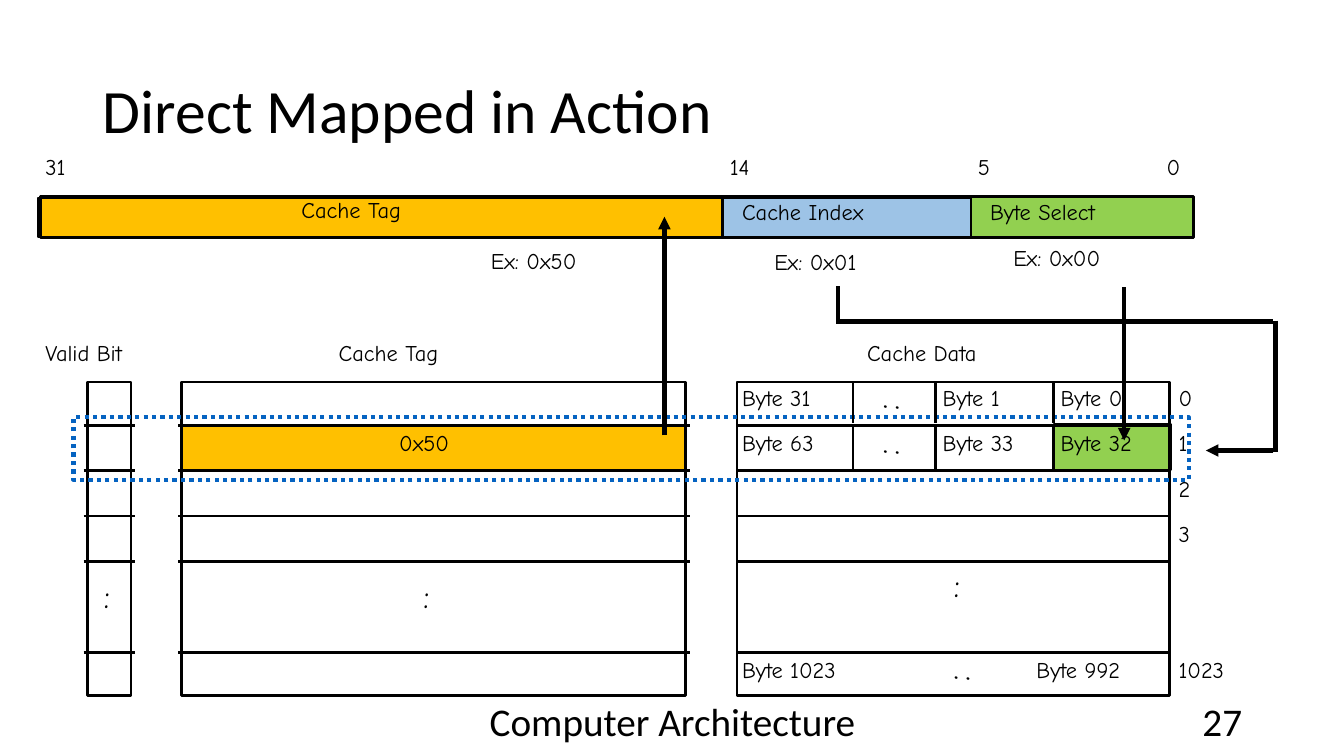
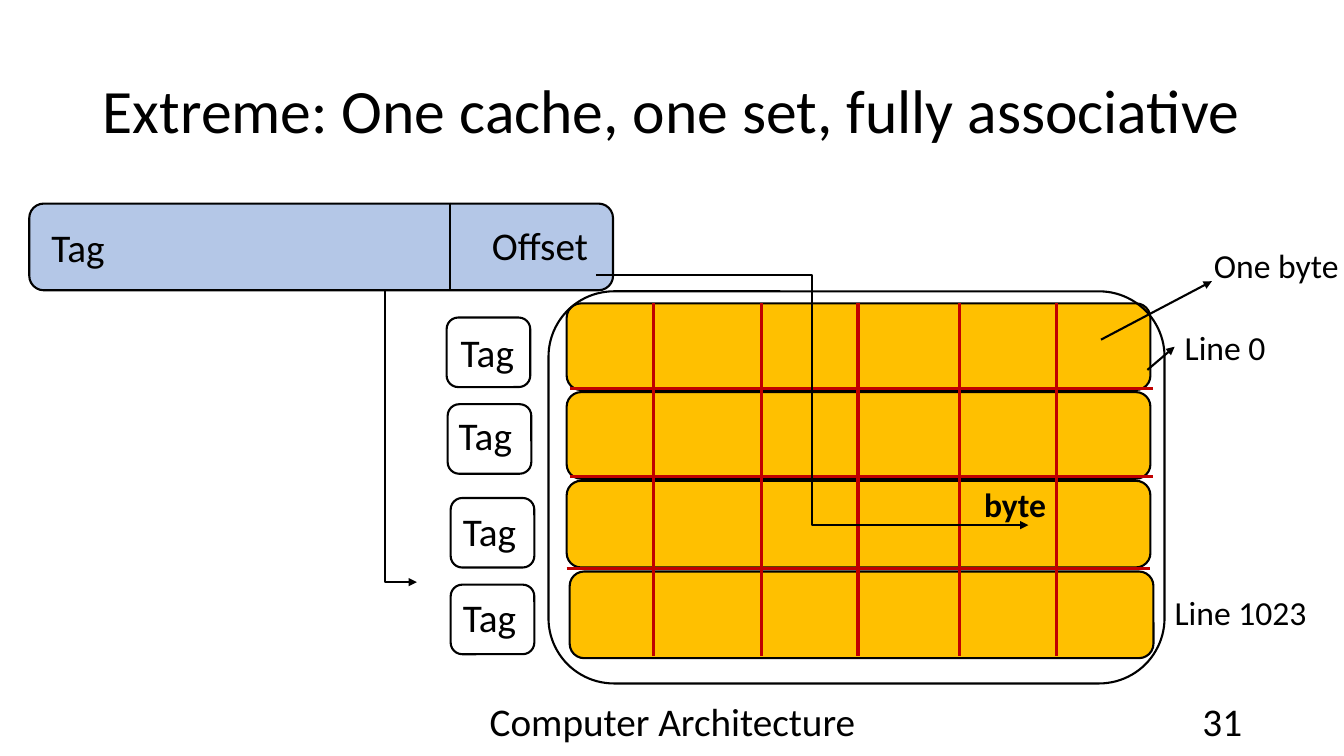
from lxml import etree
from pptx import Presentation
from pptx.dml.color import RGBColor
from pptx.enum.dml import MSO_LINE
from pptx.enum.shapes import MSO_CONNECTOR, MSO_SHAPE
from pptx.enum.text import MSO_ANCHOR, PP_ALIGN
from pptx.oxml.ns import qn
from pptx.util import Pt

PX = 9144
BLACK = RGBColor(0x00, 0x00, 0x00)
WHITE = RGBColor(0xFF, 0xFF, 0xFF)
ORANGE = RGBColor(0xFF, 0xC0, 0x00)
GREEN = RGBColor(0x92, 0xD0, 0x50)
SKY = RGBColor(0x9D, 0xC3, 0xE6)
PERIWINKLE = RGBColor(0xB4, 0xC7, 0xE7)
BLUE = RGBColor(0x05, 0x63, 0xC1)
RED = RGBColor(0xC0, 0x00, 0x00)
BODY_FONT = "Calibri"
DIAGRAM_FONT = "Comic Neue"


def add_text(slide, text, left, top, width, height, size, font_name=BODY_FONT,
             align=PP_ALIGN.LEFT, anchor=MSO_ANCHOR.TOP, bold=False):
    box = slide.shapes.add_textbox(left * PX, top * PX, width * PX, height * PX)
    frame = box.text_frame
    frame.word_wrap = True
    frame.vertical_anchor = anchor
    frame.margin_left = frame.margin_right = frame.margin_top = frame.margin_bottom = 0
    paragraph = frame.paragraphs[0]
    paragraph.text = text
    paragraph.alignment = align
    paragraph.font.name = font_name
    paragraph.font.size = Pt(size)
    paragraph.font.bold = bold
    paragraph.font.color.rgb = BLACK
    return box


def add_line(slide, x1, y1, x2, y2, weight, color=BLACK, arrow=False,
             kind=MSO_CONNECTOR.STRAIGHT):
    connector = slide.shapes.add_connector(kind, x1 * PX, y1 * PX, x2 * PX, y2 * PX)
    connector.line.color.rgb = color
    connector.line.width = Pt(weight)
    if arrow:
        etree.SubElement(connector.line._get_or_add_ln(), qn("a:tailEnd"), type="triangle")
    etree.SubElement(connector._element.spPr, qn("a:effectLst"))
    return connector


presentation = Presentation()
presentation.slide_width = 1333 * PX
presentation.slide_height = 750 * PX

slides = []
for title, number in (
    ("Direct Mapped in Action", "27"),
    ("Extreme: One cache, one set, fully associative", "31"),
):
    slide = presentation.slides.add_slide(presentation.slide_layouts[6])
    heading = add_text(slide, title, 102, 40, 1130, 145, 44, anchor=MSO_ANCHOR.MIDDLE)
    heading.text_frame.paragraphs[0].line_spacing = 0.9
    add_text(slide, "Computer Architecture", 442, 695, 450, 40, 28,
             align=PP_ALIGN.CENTER, anchor=MSO_ANCHOR.MIDDLE)
    add_text(slide, number, 942, 695, 290, 40, 28,
             align=PP_ALIGN.RIGHT, anchor=MSO_ANCHOR.MIDDLE)
    slides.append(slide)
direct, associative = slides

RECT, ROUND = MSO_SHAPE.RECTANGLE, MSO_SHAPE.ROUNDED_RECTANGLE
boxes = [
    (direct, RECT, 181, 422, 499, 45, ORANGE, 1),
    (direct, RECT, 1045, 421, 116, 45, GREEN, 1.5),
    (direct, RECT, 87, 379, 43, 311, None, 2),
    (direct, RECT, 180, 379, 500, 311, None, 2),
    (direct, RECT, 731, 379, 429, 311, None, 2),
    (direct, RECT, 963, 195, 220, 41, GREEN, 1.5),
    (direct, RECT, 717, 196, 246, 40, SKY, 1.5),
    (direct, RECT, 38, 196, 679, 39, ORANGE, 1.5),
    (direct, RECT, 40, 195, 1144, 41, None, 2),
]
for left, top in ((565, 567), (562, 477), (562, 389), (562, 301)):
    boxes.append((associative, ROUND, left, top, 579, 86, ORANGE, 1.5))
boxes.append((associative, ROUND, 544, 289, 611, 389, None, 1.5))
boxes.append((associative, ROUND, 29, 202, 579, 86, PERIWINKLE, 1.5))
for left, top in ((443, 315), (444, 401), (447, 494), (447, 580)):
    boxes.append((associative, ROUND, left, top, 83, 69, WHITE, 1.5))
boxes.append((direct, RECT, 73, 414, 1106, 62, None, 3))

for slide, kind, left, top, width, height, fill, weight in boxes:
    shape = slide.shapes.add_shape(kind, left * PX, top * PX, width * PX, height * PX)
    shape.shadow.inherit = False
    shape.line.color.rgb = BLACK
    shape.line.width = Pt(weight)
    if fill is None:
        shape.fill.background()
    else:
        shape.fill.solid()
        shape.fill.fore_color.rgb = fill
highlight = shape
highlight.line.color.rgb = BLUE
highlight.line.dash_style = MSO_LINE.ROUND_DOT

for left, right in ((83, 134), (177, 684), (731, 1160)):
    for row_line in (422, 467, 512, 557, 647):
        add_line(direct, left, row_line, right, row_line, 2)
for cell_edge in (846, 928, 1045):
    for row_top in (379, 424):
        add_line(direct, cell_edge, row_top, cell_edge, row_top + 41, 2)
for field_edge in (717, 963):
    add_line(direct, field_edge, 195, field_edge, 236, 2)

for x1, y1, x2, y2, arrow in (
    (659, 432, 659, 215, True),
    (1115, 285, 1115, 437, True),
    (831, 284, 831, 321, False),
    (833, 319, 1263, 319, False),
    (1265, 318, 1265, 448, False),
    (1263, 447, 1196, 447, True),
):
    add_line(direct, x1, y1, x2, y2, 3, arrow=arrow)

diagram_labels = [
    ("31", 45, 152), ("14", 724, 152), ("5", 970, 152), ("0", 1157, 152),
    ("Cache Tag", 299, 195), ("Cache Index", 736, 197), ("Byte Select", 982, 197),
    ("Ex: 0x50", 487, 245), ("Ex: 0x01", 768, 246), ("Ex: 0x00", 1005, 242),
    ("Valid Bit", 45, 336), ("Cache Tag", 336, 336), ("Cache Data", 860, 336),
    ("0x50", 396, 426), ("Byte 1023", 736, 651), ("Byte 992", 1028, 651),
]
for top, names in (
    (381, ("Byte 31", "Byte 1", "Byte 0")),
    (426, ("Byte 63", "Byte 33", "Byte 32")),
):
    for name, left in zip(names, (736, 935, 1052)):
        diagram_labels.append((name, left, top))
for row_name, top in zip(("0", "1", "2", "3", "1023"), (381, 426, 471, 516, 651)):
    diagram_labels.append((row_name, 1169, top))
for text, left, top in diagram_labels:
    add_text(direct, text, left, top, 130, 28, 16, DIAGRAM_FONT)

for left, top, rotation in (
    (103, 570, 0), (420, 570, 0), (946, 559, 0),
    (879, 367, 270), (879, 412, 270), (949, 636, 270),
):
    ellipsis = add_text(direct, ":", left, top, 19, 61, 24, DIAGRAM_FONT)
    ellipsis.rotation = rotation

for column_edge in (648, 755, 851, 952, 1048):
    add_line(associative, column_edge, 301, column_edge, 651, 2.25, RED)
for left, line_edge in ((565, 385), (565, 473), (562, 564)):
    add_line(associative, left, line_edge, left + 579, line_edge, 2.25, RED)
add_line(associative, 446, 201, 446, 287, 1.5)
add_line(associative, 1092, 337, 1202, 279, 1.5, arrow=True)
add_line(associative, 1138, 367, 1165, 344, 1.5, arrow=True)
add_line(associative, 591, 273, 1020, 521, 1.5, arrow=True, kind=MSO_CONNECTOR.ELBOW)

tag_arrow = add_line(associative, 542, 417, 253, 449, 1.5, arrow=True,
                     kind=MSO_CONNECTOR.ELBOW)
tag_arrow._element.spPr.find(qn("a:xfrm")).set("rot", str(270 * 60000))
tag_arrow._element.spPr.find(qn("a:prstGeom")).set("prst", "bentConnector2")

for text, left, top, width, size, bold in (
    ("Tag", 51, 222, 80, 28, False),
    ("Offset", 488, 220, 110, 28, False),
    ("Tag", 457, 326, 63, 28, False),
    ("Tag", 455, 408, 63, 28, False),
    ("Tag", 459, 503, 63, 28, False),
    ("Tag", 459, 589, 63, 28, False),
    ("One byte", 1204, 243, 129, 24, False),
    ("Line 0", 1175, 324, 100, 24, False),
    ("Line 1023", 1165, 587, 150, 24, False),
    ("byte", 976, 480, 80, 24, True),
):
    add_text(associative, text, left, top, width, 45, size, bold=bold)

presentation.save("out.pptx")
